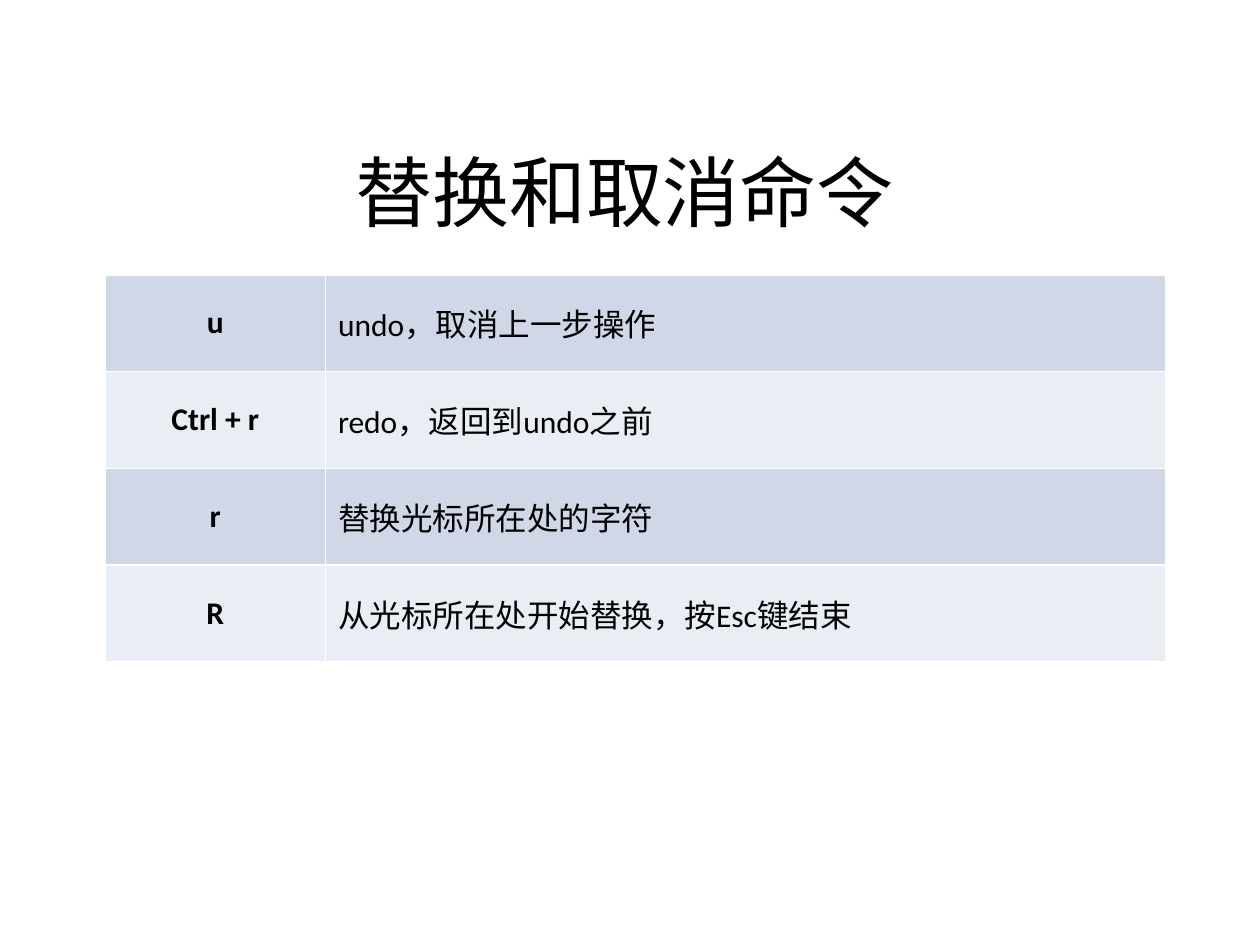
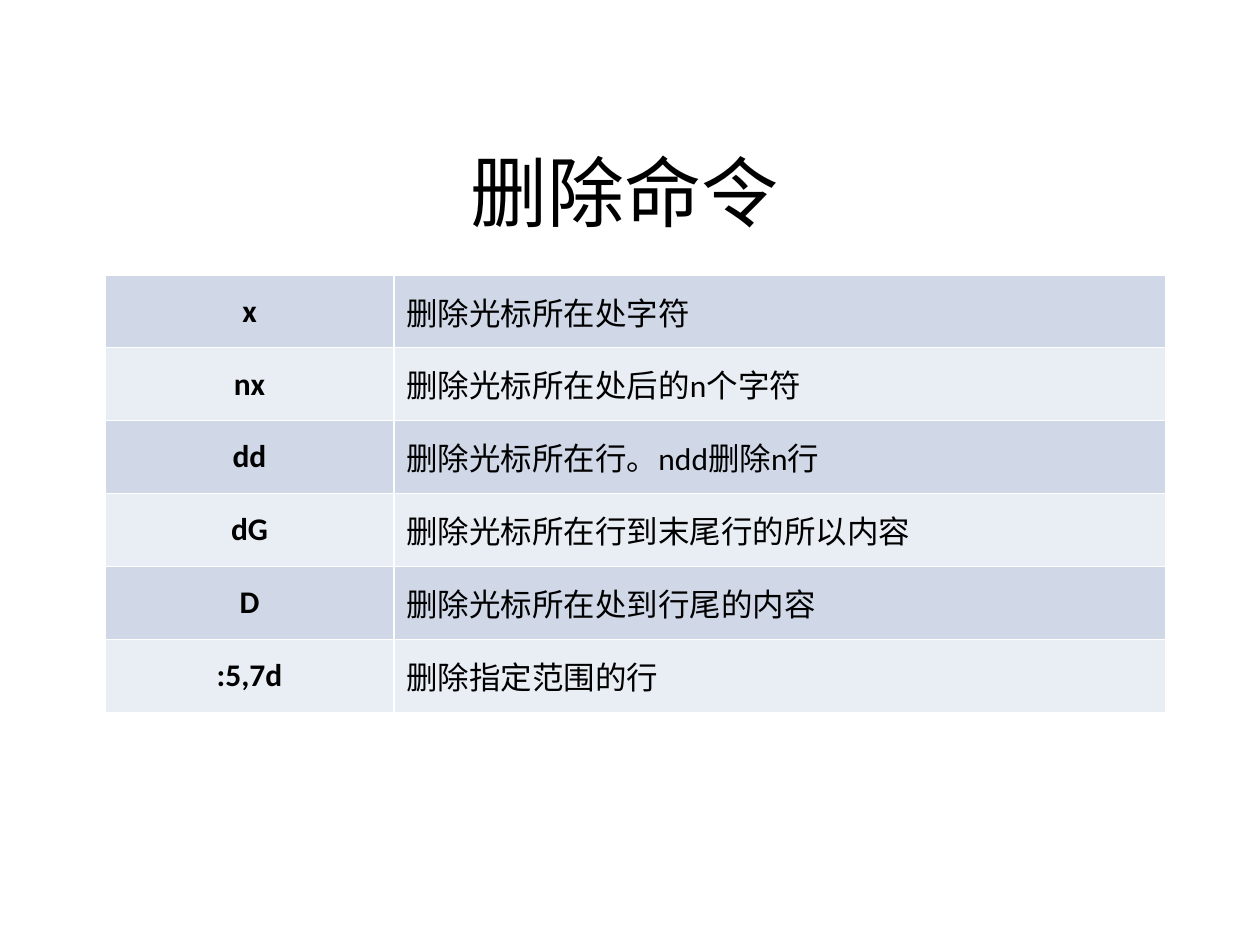
from lxml import etree
from pptx import Presentation
from pptx.dml.color import RGBColor
from pptx.enum.text import MSO_ANCHOR, PP_ALIGN
from pptx.oxml.ns import qn
from pptx.util import Cm, Pt

CENTER, LEFT = PP_ALIGN.CENTER, PP_ALIGN.LEFT
MIDDLE, BOTTOM = MSO_ANCHOR.MIDDLE, MSO_ANCHOR.BOTTOM

# Shared look
BLACK, WHITE = "000000", "FFFFFF"
BAND_FILLS = ("D0D8E8", "E9EDF4")
FONT_NAME = "Calibri"
TITLE_FONT = {"name": FONT_NAME, "size": Pt(44), "bold": False}
KEY_FONT = {"name": FONT_NAME, "size": Pt(18), "bold": True}
MEANING_FONT = {**KEY_FONT, "bold": False}
TITLE_PARAGRAPH = {"alignment": CENTER}
KEY_PARAGRAPH = {"alignment": CENTER, "space_before": Pt(3.6)}
MEANING_PARAGRAPH = {**KEY_PARAGRAPH, "alignment": LEFT}
CONTENT_WIDTH = Cm(21.39)

# Commands: key and meaning
REPLACE_COMMANDS = [
    ("u", "undo，取消上一步操作"),
    ("Ctrl + r", "redo，返回到undo之前"),
    ("r", "替换光标所在处的字符"),
    ("R", "从光标所在处开始替换，按Esc键结束"),
]
DELETE_COMMANDS = [
    ("x", "删除光标所在处字符"),
    ("nx", "删除光标所在处后的n个字符"),
    ("dd", "删除光标所在行。ndd删除n行"),
    ("dG", "删除光标所在行到末尾行的所以内容"),
    ("D", "删除光标所在处到行尾的内容"),
    (":5,7d", "删除指定范围的行"),
]


def color(hex_string):
    return RGBColor.from_string(hex_string)


def set_attributes(target, values):
    for name, value in values.items():
        setattr(target, name, value)


def write_text(text_frame, text, paragraph_format, font_format):
    paragraph = text_frame.paragraphs[0]
    set_attributes(paragraph, paragraph_format)
    run = paragraph.add_run()
    run.text = text
    set_attributes(run.font, font_format)
    run.font.color.rgb = color(BLACK)


def add_title(slide, text):
    shape = slide.shapes.add_textbox(Cm(1.9), Cm(0.91), CONTENT_WIDTH, Cm(3.99))
    set_attributes(shape.text_frame, {"word_wrap": True, "vertical_anchor": BOTTOM})
    write_text(shape.text_frame, text, TITLE_PARAGRAPH, TITLE_FONT)


def add_cell_borders(cell):
    properties = cell._tc.get_or_add_tcPr()
    for side in ("a:lnL", "a:lnR", "a:lnT", "a:lnB"):
        line = etree.SubElement(properties, qn(side), w=str(Pt(1)))
        fill = etree.SubElement(line, qn("a:solidFill"))
        etree.SubElement(fill, qn("a:srgbClr"), val=WHITE)


def fill_cell(cell, text, fill, paragraph_format, font_format):
    cell.vertical_anchor = MIDDLE
    write_text(cell.text_frame, text, paragraph_format, font_format)
    add_cell_borders(cell)
    cell.fill.solid()
    cell.fill.fore_color.rgb = color(fill)


def add_command_table(slide, commands, key_width, row_height):
    table = slide.shapes.add_table(
        len(commands), 2, Cm(2.12), Cm(5.54),
        CONTENT_WIDTH, row_height * len(commands)).table
    set_attributes(table, {"first_row": False, "horz_banding": False})
    table.columns[0].width = key_width
    table.columns[1].width = CONTENT_WIDTH - key_width
    for index, (key, meaning) in enumerate(commands):
        table.rows[index].height = row_height
        fill = BAND_FILLS[index % 2]
        fill_cell(table.cell(index, 0), key, fill, KEY_PARAGRAPH, KEY_FONT)
        fill_cell(table.cell(index, 1), meaning, fill, MEANING_PARAGRAPH, MEANING_FONT)


def add_command_slide(presentation, title, commands, key_width, row_height):
    slide = presentation.slides.add_slide(presentation.slide_layouts[6])
    slide.background.fill.solid()
    slide.background.fill.fore_color.rgb = color(WHITE)
    add_title(slide, title)
    add_command_table(slide, commands, key_width, row_height)


def main():
    presentation = Presentation()
    set_attributes(presentation, {"slide_width": Cm(25.4), "slide_height": Cm(19.05)})
    add_command_slide(presentation, "替换和取消命令", REPLACE_COMMANDS, Cm(4.44), Cm(1.95))
    add_command_slide(presentation, "删除命令", DELETE_COMMANDS, Cm(5.82), Cm(1.47))
    presentation.save("out.pptx")


if __name__ == "__main__":
    main()
